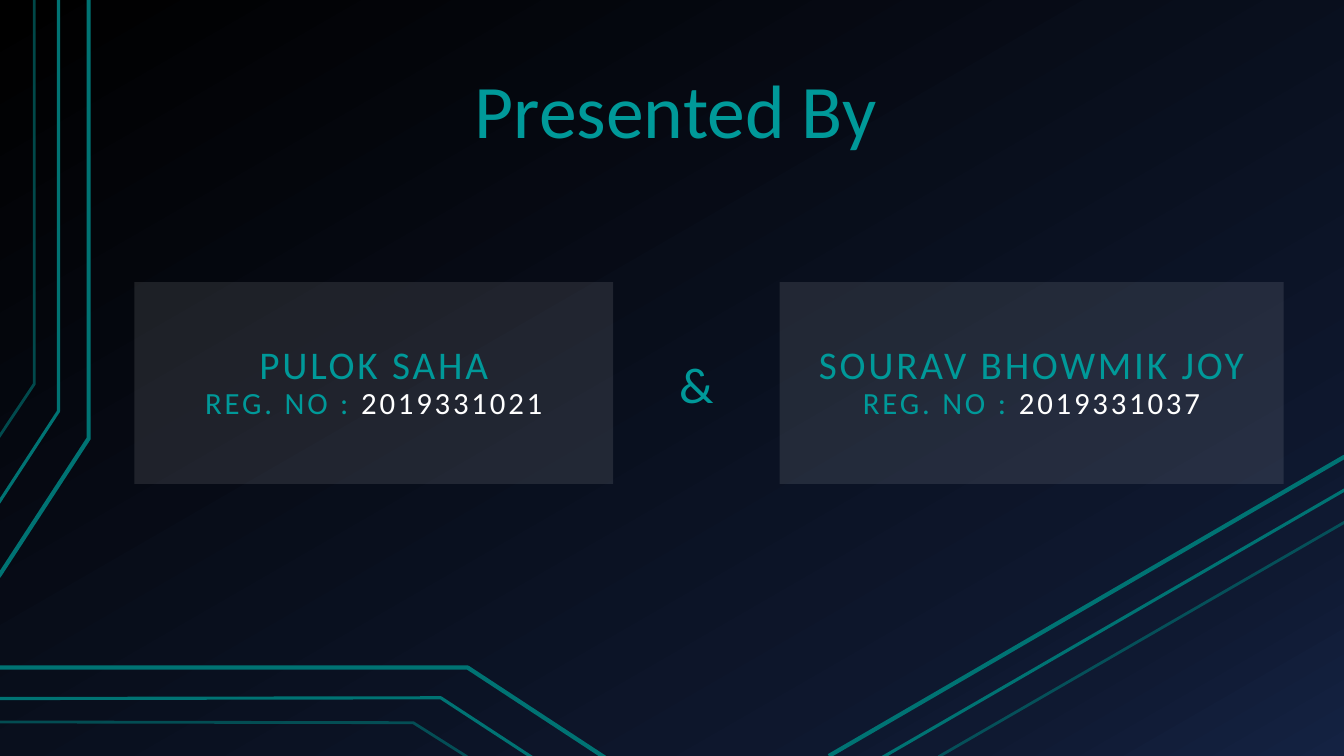
"""Build the "Presented By" slide with two presenter cards and circuit lines."""
from lxml import etree
from pptx import Presentation, util as u
from pptx.dml.color import RGBColor
from pptx.enum import shapes, text
from pptx.oxml.ns import qn

COLORS = {"teal": "009999", "trace": "007373", "white": "FFFFFF"}
BACKDROP = [(0, "000000"), (85, "0F1931"), (100, "142242")]
BACKDROP_ANGLE = 60
FONT = "Calibri"

# Positions and sizes are percentages of the slide's width and height.
TITLE = ("Presented By", (34.36, 6.67, 33.53, 14.8))
AMPERSAND = ("&", (49.8, 46, 4.13, 9.47))
CARD_TOP, CARD_HEIGHT = 37.33, 26.67
PRESENTERS = [
    ("SOURAV BHOWMIK JOY", "2019331037", 58, 37.5),
    ("PULOK SAHA", "2019331021", 10, 35.63),
]
TRACE_STYLES = [(3, 100), (2.25, 100), (2, 62)]
TRACE_GROUPS = [
    [
        [(-0.1, 76.27), (6.6, 58), (6.6, 0)],
        [(-0.1, 66.53), (4.35, 54.4), (4.35, 0)],
        [(-0.1, 57.87), (2.55, 50.8), (2.55, 0)],
    ],
    [
        [(61.67, 100), (100.05, 60.4)],
        [(65.64, 100.2), (100.05, 64.8)],
        [(69.84, 100.1), (100.05, 69.07)],
    ],
    [
        [(45, 100.2), (34.8, 88.3), (0, 88.3)],
        [(39.6, 100.2), (32.8, 92.3), (0, 92.4)],
        [(34.75, 100.1), (30.75, 95.6), (0, 95.5)],
    ],
]

deck = Presentation()
deck.slide_width, deck.slide_height = u.Inches(13.33), u.Inches(7.5)
slide = deck.slides.add_slide(deck.slide_layouts[6])


def place(x, y):
    return int(deck.slide_width * x / 100), int(deck.slide_height * y / 100)


def box(left, top, width, height):
    return *place(left, top), *place(width, height)


def set_alpha(owner, percent):
    color = owner.find(".//" + qn("a:srgbClr"))
    etree.SubElement(color, qn("a:alpha"), val=str(percent * 1000))


def paint_backdrop():
    fill = slide.background.fill
    fill.gradient()
    fill.gradient_angle = 360 - BACKDROP_ANGLE
    stops = slide.element.find(".//" + qn("a:gsLst"))
    for stop in list(stops):
        stops.remove(stop)
    for position, color in BACKDROP:
        stop = etree.SubElement(stops, qn("a:gs"), pos=str(position * 1000))
        etree.SubElement(stop, qn("a:srgbClr"), val=color)


def draw_trace(points, width, opacity):
    start, *rest = [place(*point) for point in points]
    if len(rest) == 1:
        trace = slide.shapes.add_connector(shapes.MSO_CONNECTOR.STRAIGHT, *start, *rest[0])
    else:
        builder = slide.shapes.build_freeform(*start)
        builder.add_line_segments(rest, close=False)
        trace = builder.convert_to_shape()
        trace.fill.background()
    trace.line.color.rgb = RGBColor.from_string(COLORS["trace"])
    trace.line.width = u.Pt(width)
    if opacity < 100:
        set_alpha(trace.line._get_or_add_ln(), opacity)
    etree.SubElement(trace.element.spPr, qn("a:effectLst"))


def add_run(paragraph, words, size, color="teal", spacing=0):
    run = paragraph.add_run()
    run.text = words
    run.font.name, run.font.size = FONT, u.Pt(size)
    run.font.color.rgb = RGBColor.from_string(COLORS[color])
    if spacing:
        run.font._element.set("spc", str(spacing * 100))


def set_frame(frame, anchor):
    frame.word_wrap = True
    frame.vertical_anchor = anchor
    frame.margin_left = frame.margin_right = u.Inches(0.13)
    frame.margin_top = frame.margin_bottom = u.Inches(0.07)


def add_card(name, number, left, width):
    card = slide.shapes.add_shape(
        shapes.MSO_SHAPE.RECTANGLE, *box(left, CARD_TOP, width, CARD_HEIGHT))
    card.shadow.inherit = False
    card.fill.solid()
    card.fill.fore_color.rgb = RGBColor.from_string(COLORS["white"])
    set_alpha(card.element.spPr, 10)
    card.line.fill.background()
    frame = card.text_frame
    set_frame(frame, text.MSO_ANCHOR.MIDDLE)
    name_line, number_line = frame.paragraphs[0], frame.add_paragraph()
    for line in (name_line, number_line):
        line.alignment = text.PP_ALIGN.CENTER
        line.line_spacing = 0.9
    add_run(name_line, name, 28, spacing=2)
    add_run(number_line, "REG. NO : ", 22, spacing=2)
    add_run(number_line, number, 22, "white", 2)


paint_backdrop()
for group in TRACE_GROUPS:
    for points, style in zip(group, TRACE_STYLES):
        draw_trace(points, *style)

heading, heading_box = TITLE
title = slide.shapes.add_textbox(*box(*heading_box)).text_frame
set_frame(title, text.MSO_ANCHOR.BOTTOM)
title.paragraphs[0].line_spacing = 0.9
add_run(title.paragraphs[0], heading, 54)

for presenter in PRESENTERS:
    add_card(*presenter)

joiner, joiner_box = AMPERSAND
ampersand = slide.shapes.add_textbox(*box(*joiner_box)).text_frame
ampersand.word_wrap = False
ampersand.auto_size = text.MSO_AUTO_SIZE.SHAPE_TO_FIT_TEXT
add_run(ampersand.paragraphs[0], joiner, 36)

deck.save("out.pptx")
